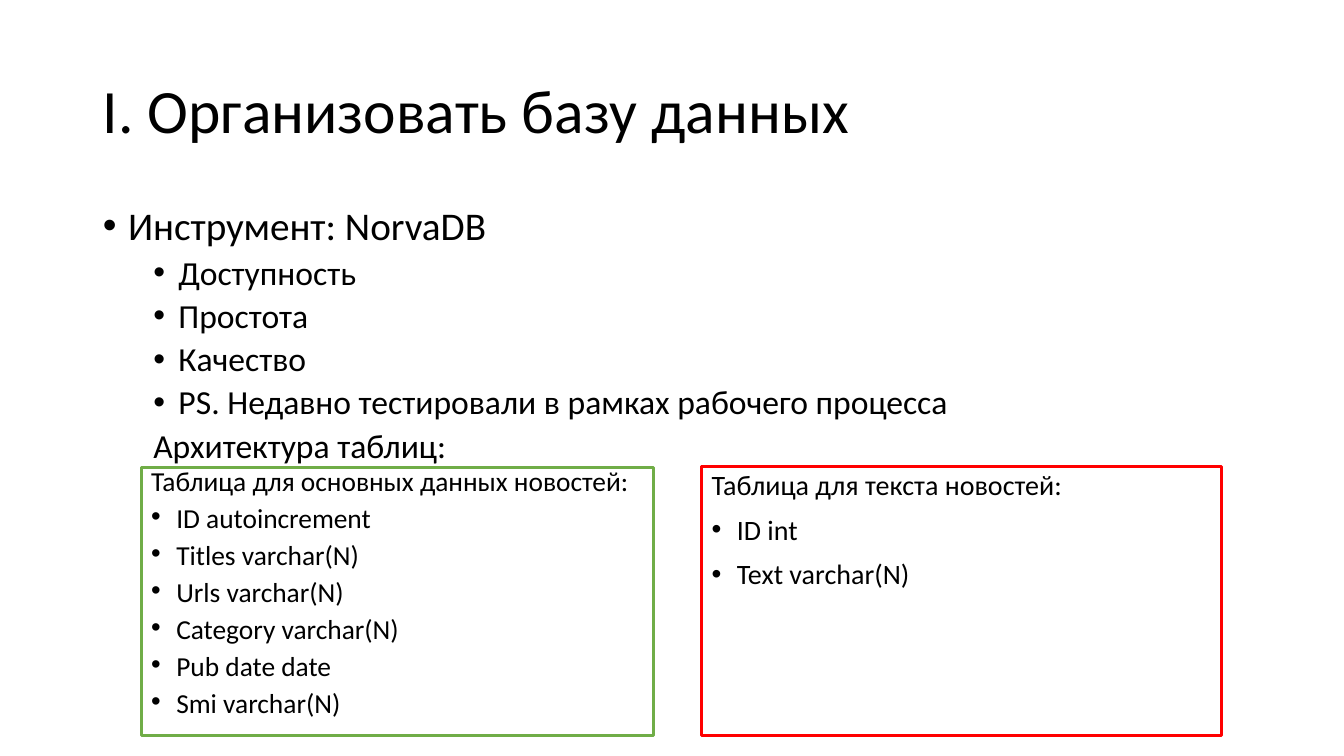
from lxml import etree
from pptx import Presentation
from pptx.dml.color import RGBColor
from pptx.enum.shapes import MSO_SHAPE
from pptx.enum.text import MSO_ANCHOR, MSO_AUTO_SIZE, PP_ALIGN
from pptx.oxml.ns import qn
from pptx.util import Inches, Pt

RECTANGLE = MSO_SHAPE.RECTANGLE
TOP, MIDDLE = MSO_ANCHOR.TOP, MSO_ANCHOR.MIDDLE
LEFT = PP_ALIGN.LEFT
NO_AUTOFIT = MSO_AUTO_SIZE.NONE

THEME = {
    "font": "Calibri",
    "text": RGBColor(0x00, 0x00, 0x00),
    "title_size": 44,
    "tool_size": 28,
    "reason_size": 24,
    "border": 2.25,
    "news": RGBColor(0x70, 0xAD, 0x47),
    "article": RGBColor(0xFF, 0x00, 0x00),
}

HEADING = "I. Организовать базу данных"
TOOL = "Инструмент: NorvaDB"
REASONS = [
    "Доступность",
    "Простота",
    "Качество",
    "PS. Недавно тестировали в рамках рабочего процесса",
]
ARCHITECTURE = "Архитектура таблиц:"
DB_TABLES = [
    {
        "caption": "Таблица для основных данных новостей:",
        "columns": [
            "ID autoincrement",
            "Titles varchar(N)",
            "Urls varchar(N)",
            "Category varchar(N)",
            "Pub date date",
            "Smi varchar(N)",
        ],
        "place": (1.4, 4.64, 5.08, 2.66),
        "color": THEME["news"],
        "size": 19.6,
        "line_spacing": 0.7,
    },
    {
        "caption": "Таблица для текста новостей:",
        "columns": ["ID int", "Text varchar(N)"],
        "place": (6.96, 4.63, 5.16, 2.67),
        "color": THEME["article"],
        "size": 20,
        "line_spacing": 0.9,
    },
]
HEADING_PLACE = (0.92, 0.4, 11.5, 1.45)
BODY_PLACE = (0.92, 2, 11.5, 2.76)
HANGING = 0.25


def apply(target, values):
    for name, value in values.items():
        setattr(target, name, value)


def move(shape, place):
    apply(shape, dict(zip(("left", "top", "width", "height"), map(Inches, place))))


def set_bullet(paragraph, margin, bulleted):
    """Set the left margin in inches, with a hanging bullet or none."""
    properties = paragraph._p.get_or_add_pPr()
    properties.set("marL", str(Inches(margin)))
    properties.set("indent", str(-Inches(HANGING) if bulleted else 0))
    if bulleted:
        etree.SubElement(properties, qn("a:buFont"), typeface="Arial")
        etree.SubElement(properties, qn("a:buChar"), char="•")
    else:
        etree.SubElement(properties, qn("a:buNone"))


def write_lines(frame, lines, anchor=TOP):
    """Fill a frame from (text, size, level, margin, bulleted, line spacing, space before)."""
    apply(frame, {"word_wrap": True, "auto_size": NO_AUTOFIT, "vertical_anchor": anchor})
    for index, (text, size, level, margin, bulleted, spacing, before) in enumerate(lines):
        paragraph = frame.add_paragraph() if index else frame.paragraphs[0]
        apply(paragraph, {
            "level": level,
            "alignment": LEFT,
            "line_spacing": spacing,
            "space_before": Pt(before),
            "space_after": Pt(0),
        })
        set_bullet(paragraph, margin, bulleted)
        run = paragraph.add_run()
        run.text = text
        apply(run.font, {"name": THEME["font"], "size": Pt(size)})
        run.font.color.rgb = THEME["text"]


def add_db_table(slide, db_table):
    box = slide.shapes.add_shape(RECTANGLE, *map(Inches, db_table["place"]))
    box.shadow.inherit = False
    box.fill.background()
    box.line.color.rgb = db_table["color"]
    box.line.width = Pt(THEME["border"])
    size, spacing = db_table["size"], db_table["line_spacing"]
    caption = (db_table["caption"], size, 0, 0, False, spacing, 10)
    columns = [(column, size, 0, HANGING, True, spacing, 10) for column in db_table["columns"]]
    write_lines(box.text_frame, [caption, *columns])


def main():
    deck = Presentation()
    apply(deck, {"slide_width": Inches(13.33), "slide_height": Inches(7.5)})
    slide = deck.slides.add_slide(deck.slide_layouts[1])

    heading, body = slide.shapes.title, slide.placeholders[1]
    move(heading, HEADING_PLACE)
    write_lines(heading.text_frame, [(HEADING, THEME["title_size"], 0, 0, False, 0.9, 0)], MIDDLE)

    move(body, BODY_PLACE)
    reason_size = THEME["reason_size"]
    write_lines(body.text_frame, [
        (TOOL, THEME["tool_size"], 0, HANGING, True, 0.9, 10),
        *((reason, reason_size, 1, 0.75, True, 0.9, 5) for reason in REASONS),
        (ARCHITECTURE, reason_size, 1, 0.5, False, 0.9, 5),
    ])

    for db_table in DB_TABLES:
        add_db_table(slide, db_table)
    deck.save("out.pptx")


if __name__ == "__main__":
    main()
